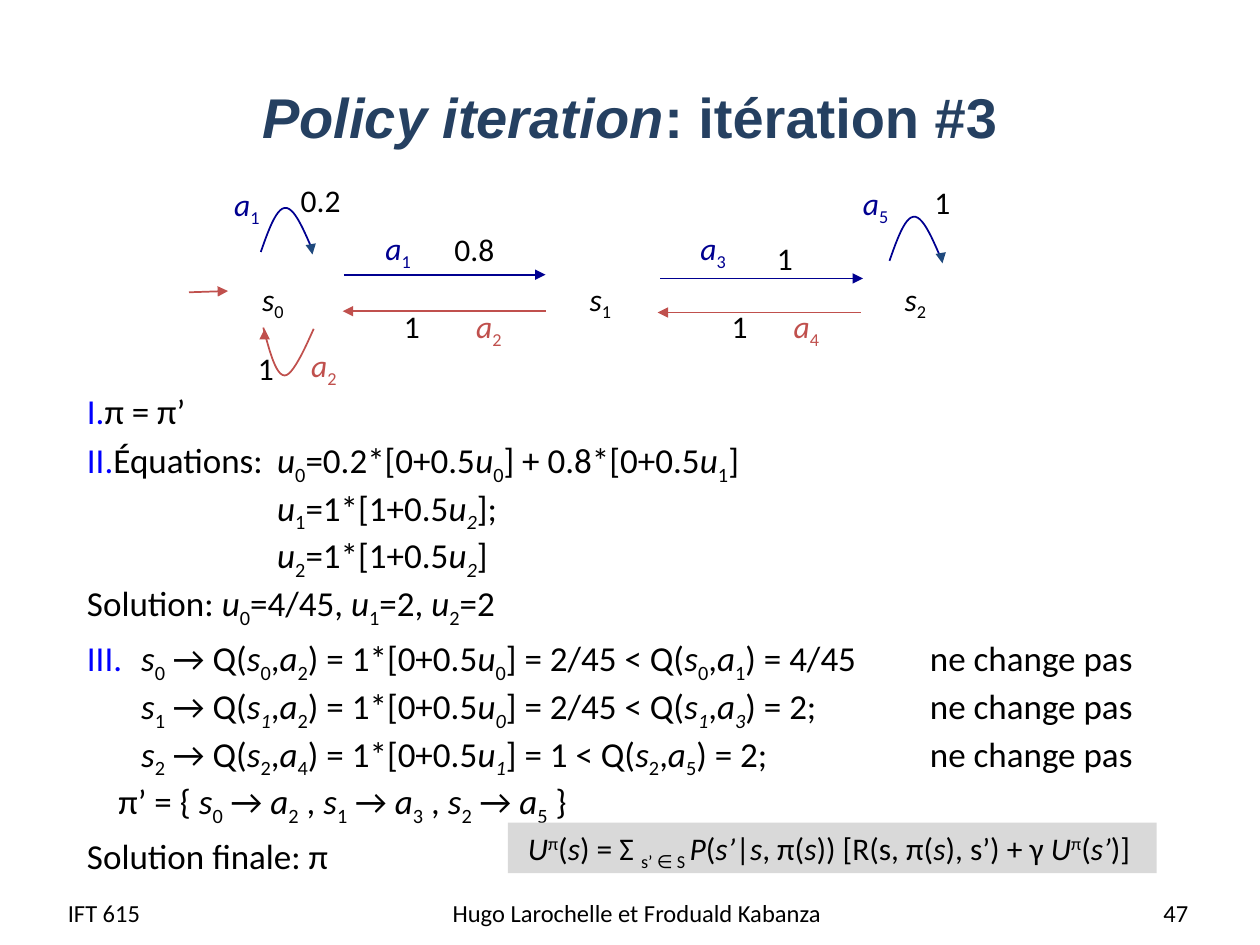
from dataclasses import dataclass
from itertools import groupby

from lxml.etree import SubElement
from pptx import Presentation
from pptx.dml.color import RGBColor
from pptx.enum.text import MSO_ANCHOR as Anchor, MSO_AUTO_SIZE as AutoSize, PP_ALIGN as Align
from pptx.oxml.ns import qn
from pptx.util import Inches, Pt

BLACK = RGBColor(0x00, 0x00, 0x00)
WHITE = RGBColor(0xFF, 0xFF, 0xFF)
NAVY = RGBColor(0x00, 0x00, 0x90)
BRICK = RGBColor(0xC0, 0x50, 0x4D)
STEEL = RGBColor(0x1F, 0x49, 0x7D)
TITLE_BLUE = RGBColor(0x25, 0x40, 0x61)
NUMBER_BLUE = RGBColor(0x00, 0x00, 0xFF)
GREY = RGBColor(0xD9, 0xD9, 0xD9)

# Grid of 10 columns by 7.5 rows
prs = Presentation()
prs.slide_width, prs.slide_height = Inches(10), Inches(7.5)
COLUMN, ROW = prs.slide_width / 10, prs.slide_height / 7.5
BASELINES = {"_": "-25000", "^": "30000"}
LABEL_HEIGHT = 0.4


@dataclass(frozen=True)
class Label:
    """Text of the state diagram, in markup, with its box on the grid."""
    text: str
    left: float
    top: float
    width: float
    color: RGBColor = BLACK
    framed: bool = True


@dataclass(frozen=True)
class Arrow:
    start: tuple[float, float]
    end: tuple[float, float]
    color: RGBColor


@dataclass(frozen=True)
class Loop:
    """Two joined Bezier curves, their points relative to left and top."""
    left: float
    top: float
    points: tuple[tuple[float, float], ...]
    color: RGBColor


HILL = ((0, 0.36), (0.06, 0.19), (0.12, 0.02), (0.19, 0.01),
        (0.26, 0), (0.33, 0.16), (0.4, 0.32))
VALLEY = ((0.42, 0.03), (0.34, 0.21), (0.25, 0.4), (0.19, 0.4),
          (0.12, 0.4), (0.07, 0.21), (0.02, 0.02))


def action(index: int, left: float, top: float, color: RGBColor, framed=True) -> Label:
    return Label(f"~a~_{index}_", left, top, 0.44, color, framed)


def probability(value: str, left: float, top: float) -> Label:
    return Label(value, left, top, 0.34 if len(value) == 1 else 0.53)


def state(index: int, left: float) -> Label:
    return Label(f"~s~_{index}_", left, 2.17, 0.41, framed=False)


LABELS = [
    probability("1", 1.94, 2.72), action(2, 2.35, 2.7, BRICK),
    action(1, 1.74, 1.42, NAVY), probability("0.2", 2.28, 1.39),
    action(5, 6.73, 1.41, NAVY, framed=False), probability("1", 7.31, 1.4),
    action(3, 5.44, 1.77, NAVY), probability("1", 6.06, 1.85),
    action(4, 6.18, 2.39, BRICK), probability("1", 5.7, 2.39),
    probability("0.8", 3.5, 1.78), action(1, 2.94, 1.77, NAVY),
    action(2, 3.66, 2.39, BRICK, framed=False), probability("1", 3.1, 2.39),
    state(2, 7.06), state(1, 4.56), state(0, 1.96),
]
LOOPS = [Loop(2.07, 2.58, VALLEY, BRICK), Loop(2.07, 1.64, HILL, NAVY),
         Loop(7.06, 1.71, HILL, NAVY)]
ARROWS = [
    Arrow((5.24, 2.21), (6.85, 2.21), NAVY), Arrow((2.73, 2.18), (4.33, 2.18), NAVY),
    Arrow((4.33, 2.47), (2.72, 2.47), BRICK), Arrow((6.83, 2.48), (5.22, 2.48), BRICK),
    Arrow((1.5, 2.32), (1.81, 2.31), BRICK), Arrow((2.1, 2.68), (2.1, 2.61), BRICK),
    Arrow((2.47, 1.96), (2.48, 2.02), STEEL), Arrow((7.47, 2.03), (7.48, 2.09), STEEL),
]

TAB_STOPS = (0.25, 0.43, 1.51, 6.69)
EQUATIONS = "\n".join([
    "Équations:\t~u~_0_=0.2*[0+0.5~u~_0_] + 0.8*[0+0.5~u~_1_]",
    "\t\t\t~u~_1_=1*[1+0.5~u_2_~];",
    "\t\t\t~u~_2_=1*[1+0.5~u_2_~]",
    "Solution: ~u~_0_=4/45, ~u~_1_=2, ~u~_2_=2",
])
IMPROVEMENT = "\n".join([
    "\t~s~_0_ → Q(~s~_0_,~a~_2_) = 1*[0+0.5~u~_0_] = 2/45 < Q(~s~_0_,~a~_1_) = 4/45\tne change pas",
    "\t\t~s~_1_ → Q(~s_1_~,~a~_2_) = 1*[0+0.5~u_0_~] = 2/45 < Q(~s_1_~,~a_3_~) = 2;\tne change pas",
    "\t\t~s~_2_ → Q(~s~_2_,~a~_4_) = 1*[0+0.5~u_1_~] = 1 < Q(~s~_2_,~a~_5_) = 2;\tne change pas",
    "\tπ’ = { ~s~_0_ → ~a~_2_ , ~s~_1_ → ~a~_3_ , ~s~_2_ → ~a~_5_ }",
])
STEPS = [("π = π’", True), (EQUATIONS, True), (IMPROVEMENT, True),
         ("Solution finale: π", False)]
FORMULA = ("~U~^π^(~s~) = Σ _s’ ∈ S _~P~(~s’~|~s~, π(~s~)) "
           "[R(s, π(~s~), s’) + γ ~U~^π^(~s’~)]")


def write(paragraph, markup: str, size: float, color=BLACK, font="Calibri", align=Align.LEFT):
    """~ toggles italic, _ subscript and ^ superscript; a newline breaks the line."""
    paragraph.alignment = align
    paragraph.font.name, paragraph.font.size = font, Pt(size)
    paragraph.font.color.rgb = color
    italic, shift, styled = False, None, []
    for char in markup:
        if char == "~":
            italic = not italic
        elif char in BASELINES:
            shift = None if shift else BASELINES[char]
        else:
            styled.append((char, (italic, shift, char == "\n")))
    for (slanted, baseline, is_break), group in groupby(styled, key=lambda item: item[1]):
        if is_break:
            paragraph.add_line_break()
            continue
        run = paragraph.add_run()
        run.text = "".join(char for char, _ in group)
        if slanted:
            run.font.italic = True
        if baseline:
            run.font._element.set("baseline", baseline)


def place(shape, left: float, top: float, width: float, height: float):
    shape.left, shape.top = round(left * COLUMN), round(top * ROW)
    shape.width, shape.height = round(width * COLUMN), round(height * ROW)


def add_text(slide, left, top, width, height, markup, size, wrap=True,
             anchor=Anchor.TOP, color=BLACK, align=Align.LEFT):
    box = slide.shapes.add_textbox(0, 0, 0, 0)
    place(box, left, top, width, height)
    box.text_frame.word_wrap = wrap
    box.text_frame.vertical_anchor = anchor
    write(box.text_frame.paragraphs[0], markup, size, color, align=align)
    return box


def add_label(slide, label: Label):
    box = add_text(slide, label.left, label.top, label.width, LABEL_HEIGHT, label.text, 18,
                   wrap=False, color=label.color, align=Align.CENTER)
    if label.framed:
        box.line.color.rgb, box.line.width = WHITE, Pt(1)


def add_arrow(slide, arrow: Arrow):
    (x1, y1), (x2, y2) = arrow.start, arrow.end
    line = slide.shapes.add_connector(1, round(x1 * COLUMN), round(y1 * ROW),
                                      round(x2 * COLUMN), round(y2 * ROW))
    line.line.color.rgb, line.line.width = arrow.color, Pt(1)
    SubElement(line.line._get_or_add_ln(), qn("a:tailEnd"), type="triangle")
    SubElement(line._element.spPr, qn("a:effectLst"))


def bezier(points, steps=12):
    for step in range(steps + 1):
        t = step / steps
        weights = ((1 - t) ** 3, 3 * t * (1 - t) ** 2, 3 * t * t * (1 - t), t ** 3)
        yield tuple(sum(w * p[axis] for w, p in zip(weights, points)) for axis in (0, 1))


def add_loop(slide, loop: Loop):
    curve = [*bezier(loop.points[:4]), *bezier(loop.points[3:])]
    start, *rest = [(round((loop.left + x) * COLUMN), round((loop.top + y) * ROW))
                    for x, y in curve]
    builder = slide.shapes.build_freeform(*start)
    builder.add_line_segments(rest, close=False)
    shape = builder.convert_to_shape()
    shape.shadow.inherit = False
    shape.fill.background()
    shape.line.color.rgb, shape.line.width = loop.color, Pt(1)


def set_numbering(paragraph, numbered: bool):
    props = paragraph._p.get_or_add_pPr()
    props.set("marL", "0")
    props.set("indent", "0")
    if numbered:
        color = SubElement(props, qn("a:buClr"))
        SubElement(color, qn("a:srgbClr"), val=str(NUMBER_BLUE))
        SubElement(props, qn("a:buFont"), typeface="+mj-lt")
        SubElement(props, qn("a:buAutoNum"), type="romanUcPeriod")
    else:
        SubElement(props, qn("a:buNone"))
    tabs = SubElement(props, qn("a:tabLst"))
    for stop in TAB_STOPS:
        SubElement(tabs, qn("a:tab"), pos=str(round(stop * COLUMN)), algn="l")


def fill_body(body):
    place(body, 0.59, 3.04, 8.73, 3.56)
    frame = body.text_frame
    frame.auto_size = AutoSize.NONE
    for index, (markup, numbered) in enumerate(STEPS):
        paragraph = frame.add_paragraph() if index else frame.paragraphs[0]
        set_numbering(paragraph, numbered)
        paragraph.space_before = Pt(4 if index else 0)
        write(paragraph, markup, 20)


def main():
    slide = prs.slides.add_slide(prs.slide_layouts[1])
    title, body = slide.placeholders
    place(title, 0.5, 0.3, 9, 1.25)
    title.text_frame.vertical_anchor = Anchor.MIDDLE
    heading = title.text_frame.paragraphs[0]
    write(heading, "~Policy iteration~: itération #3", 32, TITLE_BLUE, "Arial", Align.CENTER)
    heading.font.bold = True
    fill_body(body)
    for label in LABELS:
        add_label(slide, label)
    for loop in LOOPS:
        add_loop(slide, loop)
    for arrow in ARROWS:
        add_arrow(slide, arrow)
    for text, left, width, align in (
            ("IFT 615", 0.44, 1.93, Align.LEFT),
            ("Hugo Larochelle et Froduald Kabanza", 3.47, 3.17, Align.CENTER),
            ("47", 7.2, 2.33, Align.RIGHT)):
        add_text(slide, left, 7.04, width, 0.4, text, 14, anchor=Anchor.MIDDLE, align=align)
    formula = add_text(slide, 4.03, 6.53, 5.15, 0.4, FORMULA, 18)
    formula.text_frame.margin_left = Inches(0.16)
    formula.fill.solid()
    formula.fill.fore_color.rgb = GREY
    prs.save("out.pptx")


if __name__ == "__main__":
    main()
